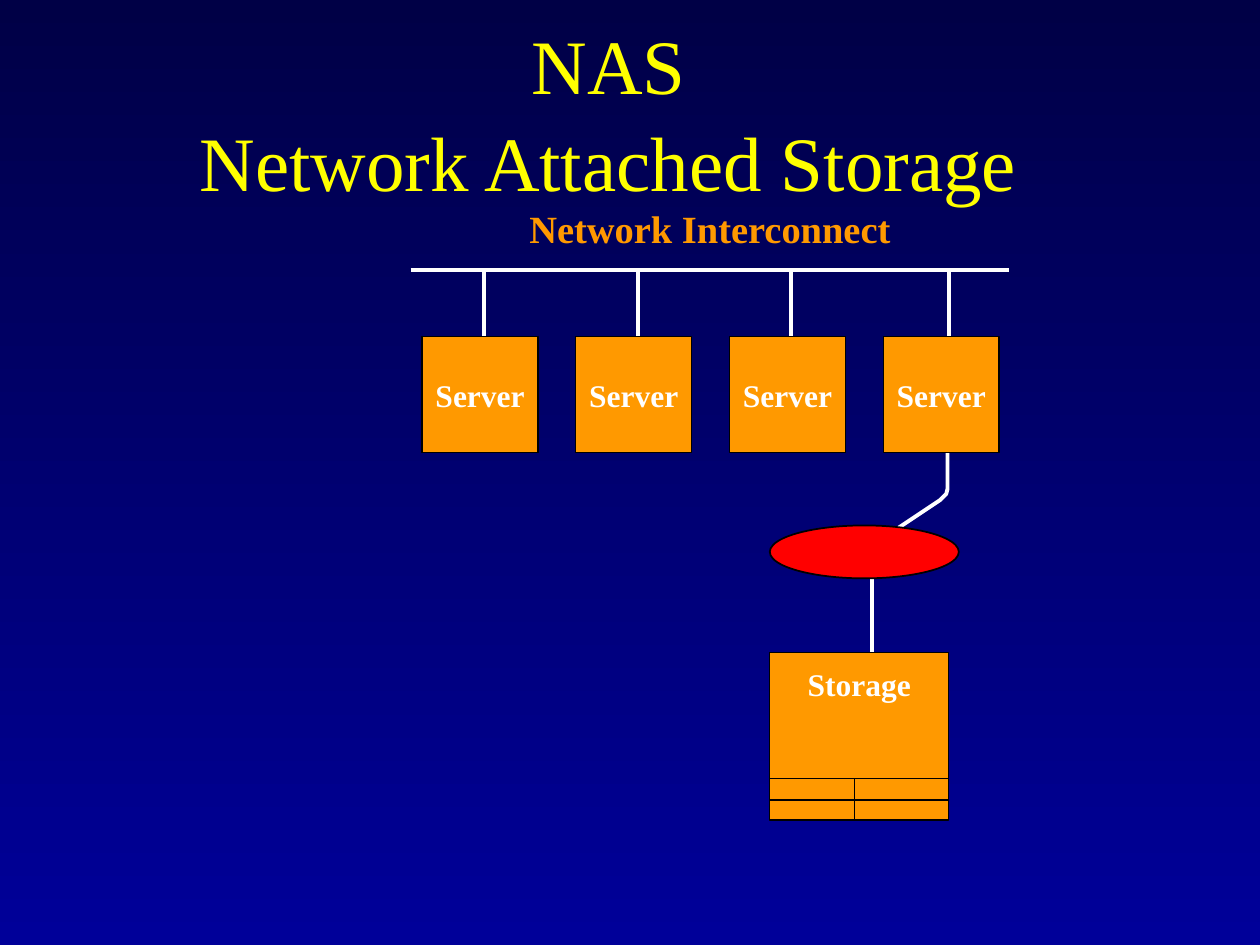
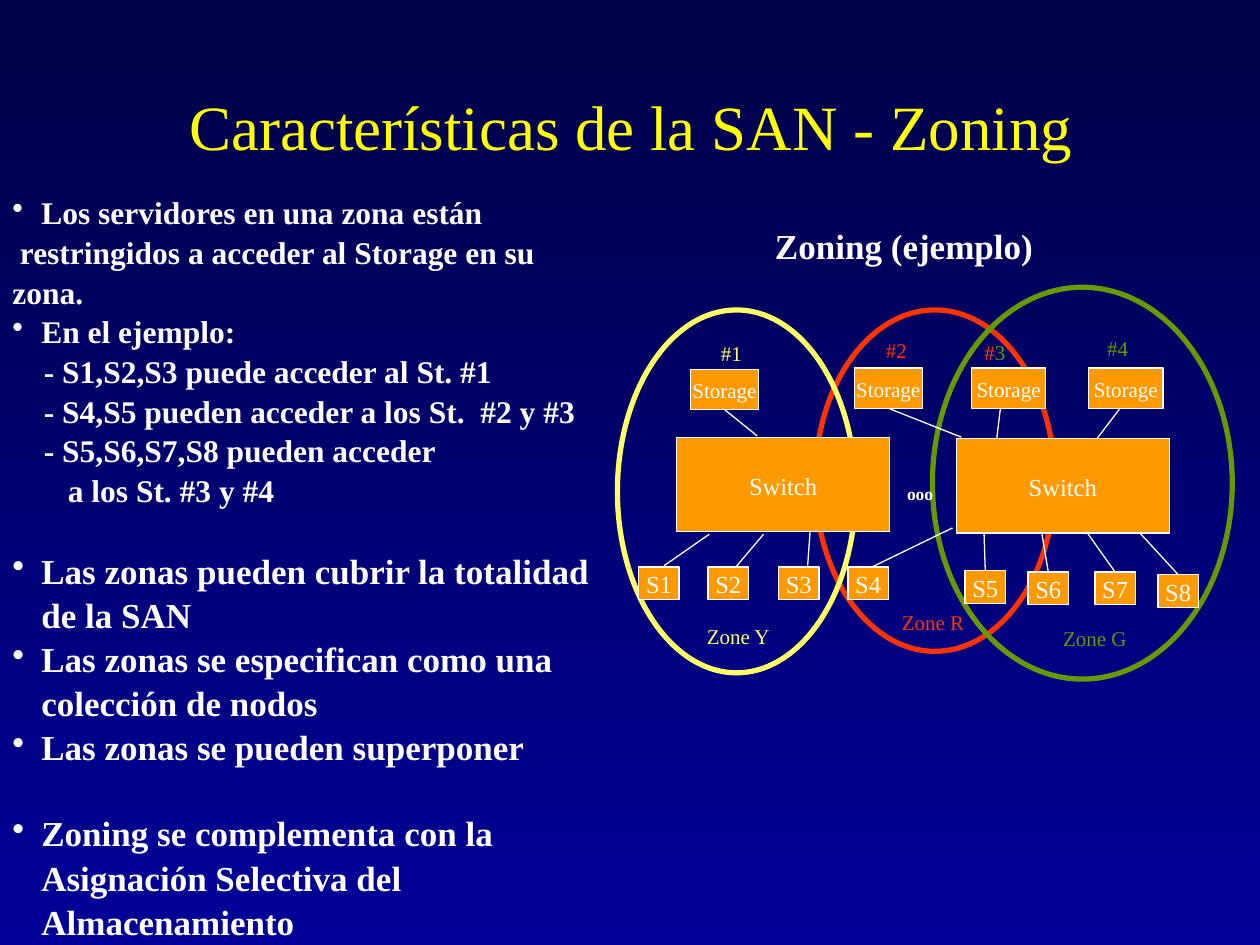
from lxml.etree import SubElement
from pptx import Presentation
from pptx.dml.color import RGBColor
from pptx.enum.shapes import MSO_CONNECTOR as CONN, MSO_SHAPE as SHAPE
from pptx.enum.text import MSO_ANCHOR as ANCHOR, MSO_AUTO_SIZE as AUTO, PP_ALIGN as ALIGN
from pptx.oxml.ns import qn
from pptx.util import Inches, Pt

WHITE, BLACK, ORANGE, TITLE = "FFFFFF", "000000", "FF9900", "FFFF00"
YELLOW, RED, GREEN = "FFFF66", "FF3300", "669900"


def rgb(value):
    """Turn a hex string into a colour."""
    return RGBColor.from_string(value)


class Deck:
    """Hold the shared style and the current slide."""

    font = "Times New Roman"
    spacing = 1.05

    def __init__(self):
        """Set the slide size and the shared background."""
        self.prs = Presentation()
        self.prs.slide_width, self.prs.slide_height = Inches(10), Inches(7.5)
        fill = self.prs.slide_master.background.fill
        fill.gradient()
        fill.gradient_angle = 270
        for stop, color in zip(fill.gradient_stops, ("000046", "000099")):
            stop.color.rgb = rgb(color)

    def new_slide(self):
        """Start a blank slide."""
        self.shapes = self.prs.slides.add_slide(self.prs.slide_layouts[6]).shapes

    def frame(self, s, wrap=False, anchor=ANCHOR.MIDDLE, top=0.05):
        """Set the text frame options of a shape."""
        tf = s.text_frame
        fmt = {"auto_size": AUTO.NONE, "word_wrap": wrap, "vertical_anchor": anchor,
               "margin_left": Inches(0.1), "margin_right": Inches(0.1),
               "margin_top": Inches(top), "margin_bottom": Inches(0.05)}
        for name, value in fmt.items():
            setattr(tf, name, value)
        return tf

    def add_runs(self, p, parts, size, bold=False, align=ALIGN.CENTER):
        """Add coloured runs to a paragraph."""
        p.alignment, p.line_spacing = align, self.spacing
        for text, color in parts:
            if text == "\v":
                p.add_line_break()
                continue
            r = p.add_run()
            r.text = text
            for name, value in {"name": self.font, "size": Pt(size), "bold": bold}.items():
                setattr(r.font, name, value)
            r.font.color.rgb = rgb(color)

    def label(self, at, parts, size, bold=False, align=ALIGN.CENTER, **options):
        """Add a text box with one paragraph."""
        s = self.shapes.add_textbox(*map(Inches, at))
        self.add_runs(self.frame(s, **options).paragraphs[0], parts, size, bold, align)

    def title(self, at, lines, size, anchor=ANCHOR.MIDDLE):
        """Add the slide title."""
        parts = [(lines[0], TITLE)]
        for line in lines[1:]:
            parts += [("\v", TITLE), (line, TITLE)]
        self.label(at, parts, size, wrap=True, anchor=anchor)

    def outline(self, s, fill, line, width):
        """Set fill, line and shadow of a shape."""
        s.shadow.inherit = False
        if fill:
            s.fill.solid()
            s.fill.fore_color.rgb = rgb(fill)
        else:
            s.fill.background()
        s.line.color.rgb, s.line.width = rgb(line), Pt(width)

    def box(self, at, text, size, line=WHITE, bold=False, **options):
        """Add an orange rectangle with white text."""
        s = self.shapes.add_shape(SHAPE.RECTANGLE, *map(Inches, at))
        self.outline(s, ORANGE, line, 0.75)
        self.add_runs(self.frame(s, **options).paragraphs[0], [(text, WHITE)], size, bold)
        return s

    def ellipse(self, at, line, width, fill=None):
        """Add an ellipse."""
        s = self.shapes.add_shape(SHAPE.OVAL, *map(Inches, at))
        self.outline(s, fill, line, width)

    def polyline(self, points, width):
        """Add an open white outline."""
        points = [tuple(map(Inches, point)) for point in points]
        builder = self.shapes.build_freeform(*points[0])
        builder.add_line_segments(points[1:], close=False)
        self.outline(builder.convert_to_shape(), None, WHITE, width)

    def line(self, start, end, color=WHITE, width=0.75, joined=None, site=0):
        """Add a straight line, joined at its start to a shape if one is given."""
        s = self.shapes.add_connector(CONN.STRAIGHT, *map(Inches, (*start, *end)))
        s.line.color.rgb, s.line.width = rgb(color), Pt(width)
        SubElement(s._element.spPr, qn("a:effectLst"))
        if joined is not None:
            s.begin_connect(joined, site)

    def body(self, at, items):
        """Add a text box of bulleted and indented paragraphs."""
        s = self.shapes.add_textbox(*map(Inches, at))
        tf = self.frame(s, wrap=True, anchor=ANCHOR.TOP)
        for i, (text, size, bullet, margin, indent, before) in enumerate(items):
            p = tf.add_paragraph() if i else tf.paragraphs[0]
            self.add_runs(p, [(text, WHITE)], size, True, ALIGN.LEFT)
            if before:
                p.space_before = Pt(before)
            pPr = p._p.get_or_add_pPr()
            pPr.set("marL", str(Inches(margin)))
            pPr.set("indent", str(Inches(indent)))
            if bullet:
                SubElement(pPr, qn("a:buChar")).set("char", "•")


def nas_slide(deck):
    """Build the network attached storage diagram."""
    deck.new_slide()
    deck.polyline([(7.52, 3.5), (7.52, 3.85), (7.52, 3.88), (7.51, 3.92),
                   (7.49, 3.94), (7.46, 3.97), (7.1, 4.21)], 2.25)
    deck.line((6.92, 5.28), (6.92, 4.51), width=2.25)
    deck.line((3.26, 2.14), (8.01, 2.14), width=2.25)
    for x in (3.84, 5.06, 6.28, 7.53):
        deck.line((x, 2.68), (x, 2.14), width=2.25)
    deck.label((4.1, 1.57, 3.07, 0.47), [("Network Interconnect", ORANGE)], 22, True)
    server, pitch = 0.92, 1.22
    for i in range(4):
        deck.box((3.35 + i * pitch, 2.67, server, server), "Server", 18, BLACK, True)
    left, right, bottom = 6.11, 7.53, 6.51
    deck.box((left, 5.18, right - left, bottom - 5.18), "Storage", 18, BLACK, True,
             anchor=ANCHOR.TOP, top=0.08)
    for y in (6.18, 6.35):
        deck.line((left, y), (right, y), BLACK)
    deck.line((6.78, 6.18), (6.78, bottom), BLACK)
    deck.ellipse((left, 4.17, 1.5, 0.42), BLACK, 1, "FF0000")
    deck.title((0.58, 0.25, 8.5, 1.25), ["NAS", "Network Attached Storage"], 44)


def zoning_slide(deck):
    """Build the zoning text and its example diagram."""
    deck.new_slide()
    deck.ellipse((6.47, 2.46, 1.9, 2.71), RED, 3)
    deck.ellipse((4.9, 2.46, 1.89, 2.88), YELLOW, 3)
    deck.title((0.68, 0.27, 8.66, 1.07), ["Características de la SAN - Zoning"], 36,
               ANCHOR.BOTTOM)
    deck.ellipse((7.4, 2.28, 2.38, 3.11), GREEN, 3)

    for x, y, width, parts in (
            (5.54, 2.65, 0.53, [("#1", YELLOW)]),
            (6.88, 2.62, 0.47, [("#2", RED)]),
            (7.69, 2.64, 0.41, [("#", RED), ("3", GREEN)]),
            (8.69, 2.61, 0.36, [("#4", GREEN)]),
            (5.51, 4.89, 0.7, [("Zone Y", YELLOW)]),
            (7.06, 4.78, 0.69, [("Zone R", RED)]),
            (8.34, 4.91, 0.7, [("Zone G", GREEN)])):
        deck.label((x, y, width, 0.3), parts, 12)
    deck.label((6.05, 1.72, 2.25, 0.44), [("Zoning (ejemplo)", WHITE)], 20, True)

    deck.box((5.37, 3.47, 1.69, 0.75), "Switch", 14)
    nodes = [(5.07, 4.5), (5.62, 4.5), (6.18, 4.5), (6.73, 4.5),
             (7.66, 4.53), (8.16, 4.54), (8.69, 4.54), (9.19, 4.56)]
    servers = [deck.box((x, y, 0.32, 0.26), f"S{i}", 14)
               for i, (x, y) in enumerate(nodes, 1)]
    stores = [deck.box((x, y, width, 0.32), "Storage", 12) for x, y, width in
              ((5.48, 2.93, 0.54), (6.78, 2.92, 0.54), (7.71, 2.92, 0.59), (8.64, 2.92, 0.59))]

    for store, start, end in ((stores[0], (5.75, 3.25), (6.01, 3.46)),
                              (stores[1], (7.05, 3.24), (7.63, 3.47)),
                              (None, (7.94, 3.24), (7.91, 3.49)),
                              (None, (8.89, 3.24), (8.7, 3.49))):
        deck.line(start, end, joined=store, site=2)
    for start, end in (((5.27, 4.49), (5.63, 4.24)), ((5.84, 4.5), (6.06, 4.24)),
                       ((6.41, 4.49), (6.43, 4.21)), ((6.92, 4.5), (7.56, 4.19))):
        deck.line(start, end)
    ends = [(7.81, 4.23), (8.27, 4.24), (8.63, 4.23), (9.01, 4.19)]
    for server, (x, y), end in zip(servers[4:], nodes[4:], ends):
        deck.line((x + 0.16, y), end, joined=server)

    bullet = (True, 0.23, -0.23)
    dash = (False, 0.25, 0)
    deck.body((0, 1.47, 4.96, 5.8), [
        ("Los servidores en una zona están", 18, *bullet, 0),
        ("restringidos a acceder al Storage en su zona.", 18, False, 0, 0.06, 0),
        ("En el ejemplo:", 18, *bullet, 0),
        ("- S1,S2,S3 puede acceder al St. #1", 18, *dash, 0),
        ("- S4,S5 pueden acceder a los St.  #2 y #3", 18, *dash, 0),
        ("- S5,S6,S7,S8 pueden acceder", 18, *dash, 0),
        ("a los St. #3 y #4", 18, False, 0.44, 0, 0),
        ("Las zonas pueden cubrir la totalidad de la SAN", 20, *bullet, 22),
        ("Las zonas se especifican como una colección de nodos", 20, *bullet, 0),
        ("Las zonas se pueden superponer", 20, *bullet, 0),
        ("Zoning se complementa con la Asignación Selectiva del Almacenamiento", 20,
         *bullet, 24)])
    deck.box((7.59, 3.48, 1.69, 0.75), "Switch", 14)
    deck.label((7.1, 3.78, 0.41, 0.27), [("ooo", WHITE)], 10, True, ALIGN.LEFT,
               anchor=ANCHOR.TOP)


def main():
    """Build and save the slides."""
    deck = Deck()
    nas_slide(deck)
    zoning_slide(deck)
    deck.prs.save("out.pptx")


if __name__ == "__main__":
    main()
